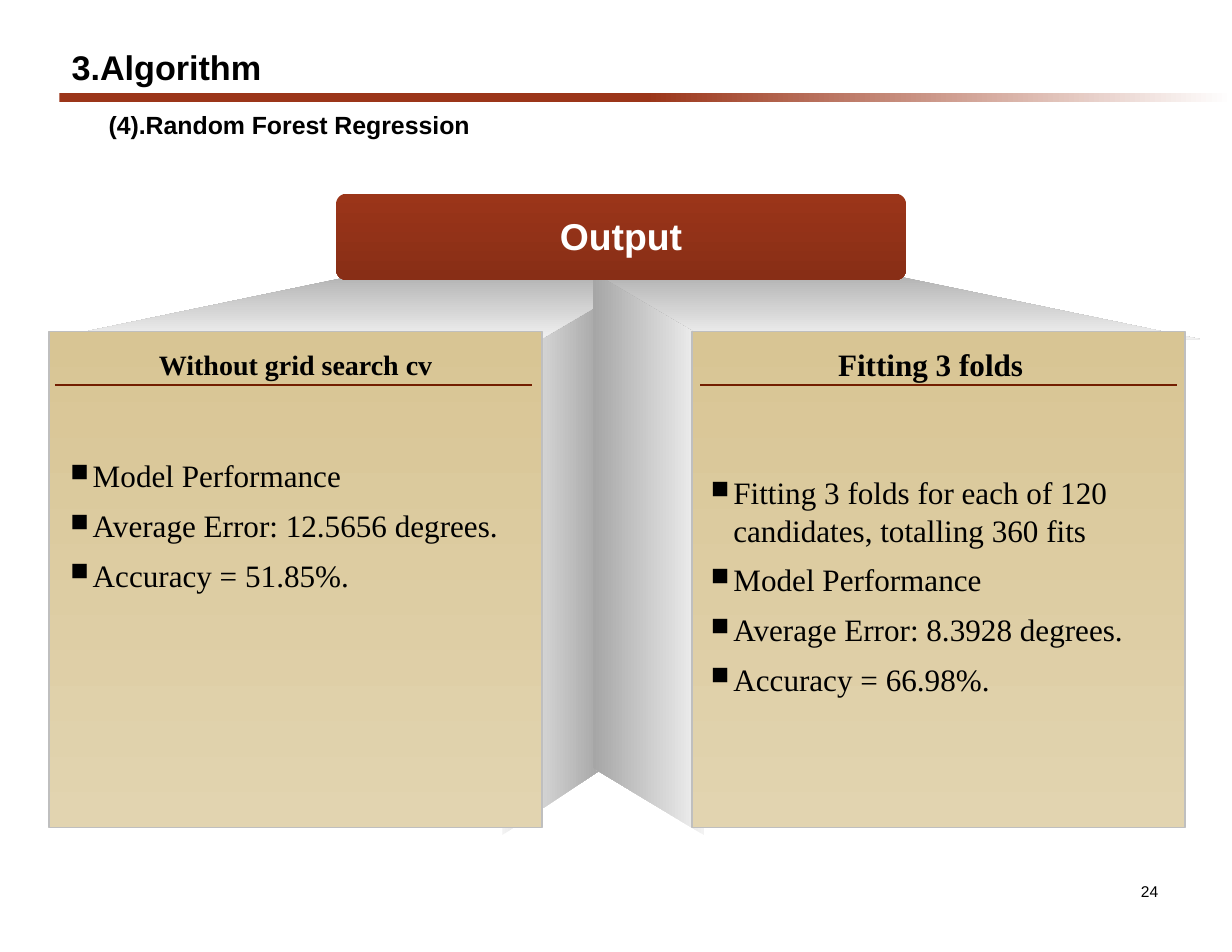
from dataclasses import dataclass

from lxml import etree
from pptx import Presentation
from pptx.dml.color import RGBColor
from pptx.enum import shapes, text
from pptx.oxml import parse_xml
from pptx.oxml.ns import nsdecls, qn
from pptx.util import Inches, Pt

SHAPE = shapes.MSO_SHAPE
ALIGN = text.PP_ALIGN
ANCHOR = text.MSO_ANCHOR


@dataclass(frozen=True)
class Theme:
    sans: str = "Arial"
    serif: str = "Times New Roman"
    black: str = "000000"
    white: str = "FFFFFF"
    edge: str = "BFBFBF"
    rule: str = "731E00"
    bar: tuple = ((0, "9B3519"), (50, "9B3519"), (100, "FFFFFF"))
    head: tuple = ((0, "9B3519"), (100, "882E16"))
    sand: tuple = ((0, "D8C594"), (100, "E2D4B0"))
    fold: tuple = ((0, "F2F2F2"), (100, "A6A6A6"))
    wing: tuple = ((0, "A6A6A6"), (100, "F2F2F2"))
    title: int = 22
    sub: int = 16
    output: int = 24
    body: int = 20
    page: int = 10


@dataclass(frozen=True)
class Card:
    left: float
    rule: float
    head: str
    size: int
    head_left: float
    list_left: float
    list_top: float
    items: tuple


@dataclass(frozen=True)
class Fold:
    left: float
    top: float
    depth: float
    turn: int
    slant: float
    flip: bool


T = Theme()
SLIM = (0.09, 0.03, 0.09, 0.05)
WIDE = (0.11, 0.06, 0.11, 0.06)
MID = 5.575  # mirror axis of the two wings

CARDS = (
    Card(0.44, 0.49, "Without grid search cv", 18, 0.44, 0.53, 4.03,
         ("Model Performance", "Average Error: 12.5656 degrees.", "Accuracy = 51.85%.")),
    Card(6.18, 6.25, "Fitting 3 folds", 20, 6.11, 6.25, 4.18,
         ("Fitting 3 folds for each of 120 candidates, totalling 360 fits",
          "Model Performance", "Average Error: 8.3928 degrees.", "Accuracy = 66.98%.")),
)
FOLDS = (Fold(2.38, 4.46, 0.89, 270, 0.662, True),
         Fold(3.24, 4.41, 0.99, 90, 0.605, False))
WING = ((0.43, 3.03), (4.81, 3.04), (6, 2.34), (3.75, 2.34))


def paint(shape, stops: tuple, angle: int = 90) -> None:
    """Give a shape a linear gradient, no outline and no shadow."""
    marks = "".join(f'<a:gs pos="{pos * 1000}"><a:srgbClr val="{tint}"/></a:gs>'
                    for pos, tint in stops)
    grad = parse_xml(f'<a:gradFill {nsdecls("a")} rotWithShape="1"><a:gsLst>{marks}</a:gsLst>'
                     f'<a:lin ang="{angle * 60000}" scaled="0"/></a:gradFill>')
    shape.fill.background()
    blank = shape._element.spPr.find(qn("a:noFill"))
    blank.getparent().replace(blank, grad)
    shape.line.fill.background()
    shape.shadow.inherit = False


def block(slide, kind, box: tuple, stops: tuple, angle: int = 90):
    shape = slide.shapes.add_shape(kind, *map(Inches, box))
    paint(shape, stops, angle)
    return shape


def write(shape, words: str, size: int, font: str, tint: str = T.black, bold: bool = True,
          align=ALIGN.LEFT, anchor=ANCHOR.MIDDLE, pad: tuple = SLIM) -> None:
    frame = shape.text_frame
    frame.word_wrap = True
    frame.vertical_anchor = anchor
    (frame.margin_left, frame.margin_top,
     frame.margin_right, frame.margin_bottom) = map(Inches, pad)
    frame.text = words
    for para in frame.paragraphs:
        para.alignment = align
        for run in para.runs:
            run.font.size, run.font.name, run.font.bold = Pt(size), font, bold
            run.font.color.rgb = RGBColor.from_string(tint)


def label(slide, box: tuple, words: str, size: int, font: str, **look):
    area = slide.shapes.add_textbox(*map(Inches, box))
    write(area, words, size, font, **look)
    return area


def bullets(area) -> None:
    for para in area.text_frame.paragraphs:
        para.space_before = Pt(8)
        props = para._p.get_or_add_pPr()
        props.set("marL", str(Inches(0.2)))
        props.set("indent", str(Inches(-0.2)))
        etree.SubElement(props, qn("a:buSzPct")).set("val", "80000")
        etree.SubElement(props, qn("a:buChar")).set("char", "■")


def draw_fold(slide, fold: Fold) -> None:
    shape = block(slide, SHAPE.PARALLELOGRAM, (fold.left, fold.top, 5.1, fold.depth), T.fold)
    shape.adjustments[0] = fold.slant
    shape.rotation = fold.turn
    if fold.flip:
        shape._element.spPr.find(qn("a:xfrm")).set("flipH", "1")


def draw_wing(slide, mirror: bool) -> None:
    dots = [(Inches(2 * MID - x if mirror else x), Inches(y)) for x, y in WING]
    pen = slide.shapes.build_freeform(*dots[0])
    pen.add_line_segments(dots[1:], close=True)
    paint(pen.convert_to_shape(), T.wing)


def draw_panel(slide, card: Card) -> None:
    panel = block(slide, SHAPE.RECTANGLE, (card.left, 2.96, 4.4, 4.43), T.sand)
    panel.line.color.rgb = RGBColor.from_string(T.edge)
    panel.line.width = Pt(1)


def fill_card(slide, card: Card) -> None:
    label(slide, (card.head_left, 3.08, 4.4, 0.36), card.head, card.size, T.serif,
          align=ALIGN.CENTER)
    rule = slide.shapes.add_connector(shapes.MSO_CONNECTOR.STRAIGHT, Inches(card.rule),
                                      Inches(3.44), Inches(card.rule + 4.26), Inches(3.44))
    rule.line.color.rgb = RGBColor.from_string(T.rule)
    rule.line.width = Pt(1.5)
    etree.SubElement(rule._element.spPr, qn("a:effectLst"))
    area = label(slide, (card.list_left, card.list_top, 4.4, 3.4), "\n".join(card.items),
                 T.body, T.serif, bold=False, anchor=ANCHOR.TOP, pad=(0.1, 0.05, 0.1, 0.05))
    bullets(area)


def main() -> None:
    deck = Presentation()
    deck.slide_width, deck.slide_height = Inches(11), Inches(8.5)
    slide = deck.slides.add_slide(deck.slide_layouts[6])

    # Page number, title bar and headings
    label(slide, (9.83, 7.82, 0.59, 0.28), "24", T.page, T.sans, bold=False,
          align=ALIGN.RIGHT, pad=(0.08, 0.02, 0.08, 0.02))
    block(slide, SHAPE.RECTANGLE, (0.53, 0.83, 10.47, 0.08), T.bar, 0)
    label(slide, (0.53, 0.36, 4.23, 0.47), "3.Algorithm", T.title, T.sans, pad=WIDE)
    label(slide, (0.86, 0.92, 8.43, 0.4), "(4).Random Forest Regression", T.sub, T.sans,
          anchor=ANCHOR.TOP, pad=WIDE)

    # Grey folds and wings behind the cards
    for fold, mirror in zip(FOLDS, (False, True)):
        draw_fold(slide, fold)
        draw_wing(slide, mirror)

    # Output banner
    banner = block(slide, SHAPE.ROUNDED_RECTANGLE, (3, 1.73, 5.09, 0.77), T.head)
    banner.adjustments[0] = 0.121
    write(banner, "Output", T.output, T.sans, T.white, align=ALIGN.CENTER)

    # Result cards
    for card in CARDS:
        draw_panel(slide, card)
        fill_card(slide, card)

    deck.save("out.pptx")


if __name__ == "__main__":
    main()
